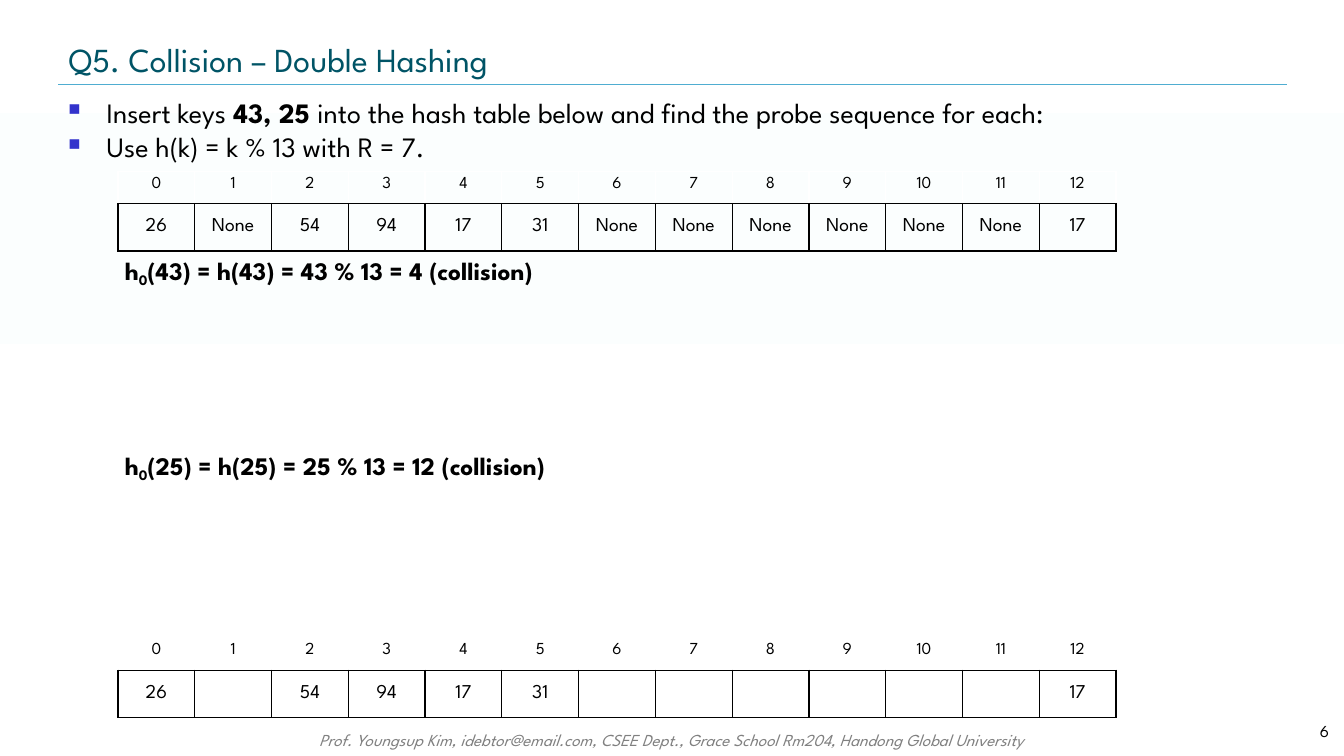
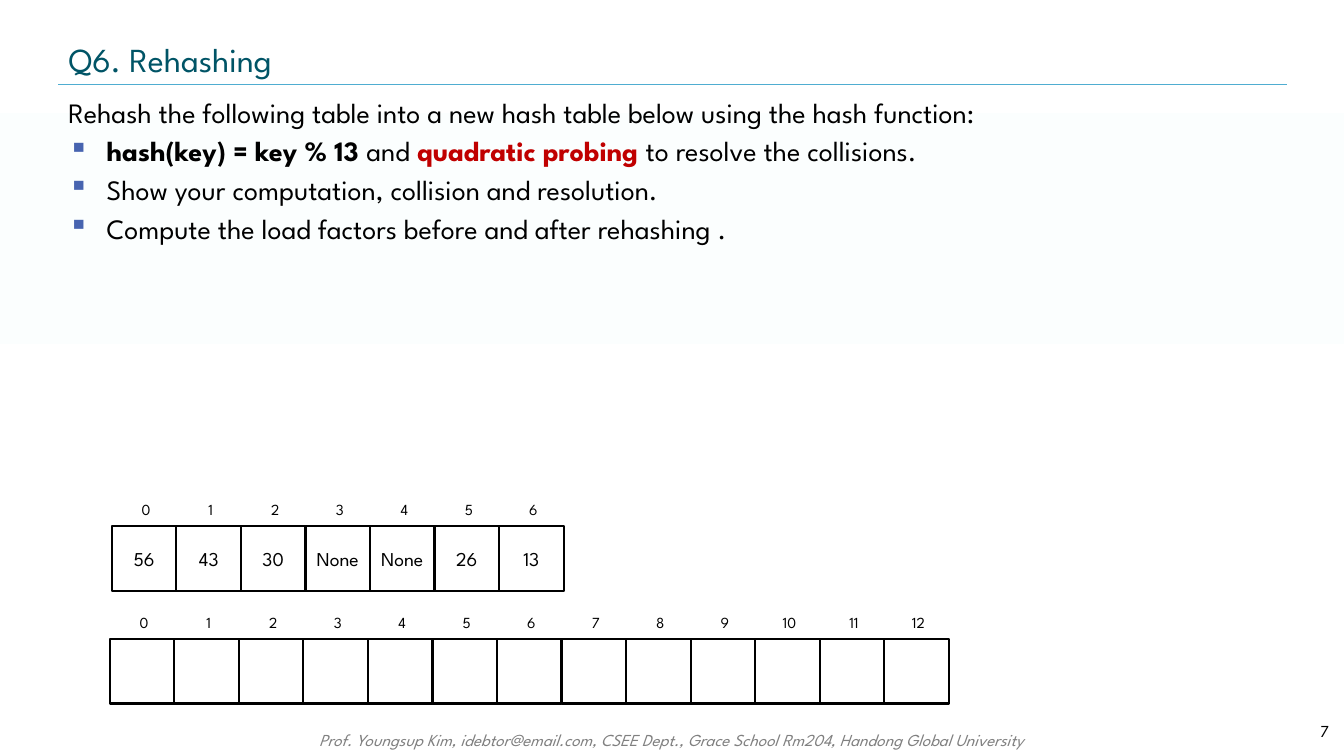
from dataclasses import dataclass

from lxml import etree
from pptx import Presentation
from pptx import util as u
from pptx.dml.color import RGBColor
from pptx.enum import shapes, text
from pptx.oxml.ns import qn


@dataclass(frozen=True)
class Theme:
    font: str = "League Spartan"
    black: str = "000000"
    white: str = "FFFFFF"
    title: str = "005466"
    footer: str = "808080"
    rule: str = "4FADD1"
    tint: str = "FBFEFE"
    alert: str = "C00000"
    bullet_blue: str = "3333CC"
    bullet_slate: str = "4764B0"
    title_size: int = 24
    body_size: int = 20
    formula_size: int = 18
    value_size: int = 14
    small_size: int = 12
    index_size: int = 11
    line_factor: float = 1.18


THEME = Theme()
FOOTER = ("Prof. Youngsup Kim, idebtor@email.com, CSEE Dept., "
          "Grace School Rm204, Handong Global University")
ALIGN = text.PP_ALIGN
MIDDLE = text.MSO_ANCHOR.MIDDLE
SQUARE = 64


def px(length):
    """One hundred px make an inch."""
    return u.Emu(length * 9144)


def rgb(value):
    return RGBColor.from_string(value)


def add_xml(parent, tag, **attributes):
    return etree.SubElement(parent, qn(tag), attributes)


# Text
def style(font, size, color=THEME.black, italic=None):
    font.name, font.size, font.italic = THEME.font, u.Pt(size), italic
    font.color.rgb = rgb(color)


def add_spans(para, spans):
    """Each span is plain text or a pair of text and marks."""
    for item in spans:
        words, marks = (item, {}) if isinstance(item, str) else item
        span = para.add_run()
        span.text = words
        if marks.get("bold"):
            span.font.bold = True
        if "color" in marks:
            span.font.color.rgb = rgb(marks["color"])
        if marks.get("sub"):
            span.font._element.set("baseline", "-21000")


def add_bullet(para, char, color, percent):
    props = para._p.get_or_add_pPr()
    props.set("marL", str(px(38)))
    props.set("indent", str(-px(38)))
    add_xml(add_xml(props, "a:buClr"), "a:srgbClr", val=color)
    add_xml(props, "a:buSzPct", val=str(percent * 1000))
    add_xml(props, "a:buChar", char=char)


def add_box(page, left, top, width, height):
    box = page.shapes.add_textbox(px(left), px(top), px(width), px(height))
    box.text_frame.word_wrap = True
    return box


def add_line(page, place, words, size, align, color=THEME.black,
             italic=None, anchor=None):
    frame = add_box(page, *place).text_frame
    frame.vertical_anchor = anchor
    para = frame.paragraphs[0]
    para.text, para.alignment = words, align
    style(para.font, size, color, italic)
    return frame


def add_body(page, place, rows, size=THEME.body_size, gap=0):
    """Each row is a list of spans and its bullet, or None."""
    frame = add_box(page, *place).text_frame
    for number, (spans, bullet) in enumerate(rows):
        para = frame.add_paragraph() if number else frame.paragraphs[0]
        para.line_spacing = u.Pt(size * THEME.line_factor)
        if number:
            para.space_before = u.Pt(gap)
        if bullet:
            add_bullet(para, *bullet)
        style(para.font, size)
        add_spans(para, spans)


def add_formula(page, top, key, result):
    bold = {"bold": True}
    spans = [("h", bold), ("0", {"bold": True, "sub": True}),
             (f"({key}) = h({key}) = {key} % 13 = {result} (collision)", bold)]
    add_body(page, (114, top, 700, 40), [(spans, None)], THEME.formula_size)


# Hash tables
def set_borders(cell, color, bottom):
    props = cell._tc.get_or_add_tcPr()
    for position, side in enumerate(("L", "R", "T", "B")):
        line = etree.Element(qn(f"a:ln{side}"), {"w": str(u.Pt(1))})
        fill = add_xml(line, "a:solidFill")
        add_xml(fill, "a:srgbClr", val=bottom if side == "B" else color)
        props.insert(position, line)


def fill_cell(cell, words, size, border):
    cell.fill.background()
    set_borders(cell, border, THEME.black)
    para = cell.text_frame.paragraphs[0]
    para.text, para.alignment = words, ALIGN.CENTER
    style(para.font, size)


def add_hash_table(page, top, values):
    count = len(values)
    table = page.shapes.add_table(
        2, count, px(117), px(top), px(990), px(79)).table
    table.first_row = table.horz_banding = False
    for row, height in zip(table.rows, (32, 47)):
        row.height = px(height)
    for index, value in enumerate(values):
        table.columns[index].width = u.Emu(px(990) // count)
        fill_cell(table.cell(0, index), str(index),
                  THEME.small_size, THEME.white)
        slot = table.cell(1, index)
        fill_cell(slot, value, THEME.value_size, THEME.black)
        slot.vertical_anchor = MIDDLE
        slot.margin_left = slot.margin_right = 0


def tighten(frame):
    frame.margin_left = frame.margin_right = px(4)
    frame.margin_top = frame.margin_bottom = px(4)


def add_square_row(page, left, top, values):
    for index, value in enumerate(values):
        start = left + index * SQUARE
        square = page.shapes.add_shape(
            shapes.MSO_SHAPE.RECTANGLE, px(start), px(top),
            px(SQUARE), px(SQUARE))
        square.shadow.inherit = False
        square.fill.background()
        square.line.color.rgb = rgb(THEME.black)
        square.line.width = u.Pt(1.5)
        if value:
            frame = square.text_frame
            tighten(frame)
            frame.vertical_anchor = MIDDLE
            para = frame.paragraphs[0]
            para.text, para.alignment = value, ALIGN.CENTER
            style(para.font, THEME.value_size)
        tighten(add_line(page, (start + 2, top - 31, SQUARE, 28), str(index),
                         THEME.index_size, ALIGN.CENTER, anchor=MIDDLE))


# Shared parts of every page
def set_background(master):
    fill = master.background.fill
    fill.gradient()
    fill.gradient_angle = 270
    stops = next(master._element.iter(qn("a:gsLst")))
    stops.clear()
    for percent, color in ((0, THEME.white), (30, THEME.tint),
                           (61, THEME.white), (100, THEME.white)):
        stop = add_xml(stops, "a:gs", pos=str(percent * 1000))
        add_xml(stop, "a:srgbClr", val=color)


def add_page(deck, title, number):
    page = deck.slides.add_slide(deck.slide_layouts[5])
    heading = page.shapes.title
    heading.left, heading.top = px(58), px(34)
    heading.width, heading.height = px(1218), px(50)
    heading.text_frame.vertical_anchor = MIDDLE
    para = heading.text_frame.paragraphs[0]
    para.text, para.alignment = title, ALIGN.LEFT
    style(para.font, THEME.title_size, THEME.title)

    rule = page.shapes.add_connector(
        shapes.MSO_CONNECTOR.STRAIGHT, px(58), px(84), px(1276), px(84))
    rule.line.color.rgb = rgb(THEME.rule)
    rule.line.width = u.Pt(0.25)
    add_xml(rule._element.spPr, "a:effectLst")

    add_line(page, (198, 719, 937, 30), FOOTER, THEME.small_size,
             ALIGN.CENTER, THEME.footer, italic=True)
    add_line(page, (1211, 705, 117, 40), str(number), THEME.small_size,
             ALIGN.RIGHT, anchor=MIDDLE)
    return page


# Pages
def build_double_hashing(deck):
    page = add_page(deck, "Q5. Collision – Double Hashing", 6)
    bullet = ("■", THEME.bullet_blue, 59)
    add_body(page, (58, 90, 1218, 80), [
        (["Insert keys ", ("43, 25 ", {"bold": True}),
          "into the hash table below and find the probe sequence for each:"],
         bullet),
        (["Use h(k) = k % 13 with R = 7."], bullet),
    ], gap=1)
    start = ["26", "", "54", "94", "17", "31"] + [""] * 6 + ["17"]
    add_hash_table(page, 170, [value or "None" for value in start])
    add_formula(page, 252, 43, 4)
    add_formula(page, 445, 25, 12)
    add_hash_table(page, 633, start)


def build_rehashing(deck):
    page = add_page(deck, "Q6. Rehashing", 7)
    bullet = ("▪", THEME.bullet_slate, 100)
    add_body(page, (58, 90, 1218, 170), [
        (["Rehash the following table into a new hash table below "
          "using the hash function:"], None),
        ([("hash(key) = key % 13 ", {"bold": True}), "and ",
          ("quadratic probing ", {"bold": True, "color": THEME.alert}),
          "to resolve the collisions."], bullet),
        (["Show your computation, collision and resolution."], bullet),
        (["Compute the load factors before and after rehashing ."], bullet),
    ], gap=4)
    add_square_row(page, 111, 522,
                   ["56", "43", "30", "None", "None", "26", "13"])
    add_square_row(page, 109, 634, [""] * 13)


def main():
    deck = Presentation()
    deck.slide_width, deck.slide_height = px(1333), px(750)
    set_background(deck.slide_master)
    build_double_hashing(deck)
    build_rehashing(deck)
    deck.save("out.pptx")


if __name__ == "__main__":
    main()
